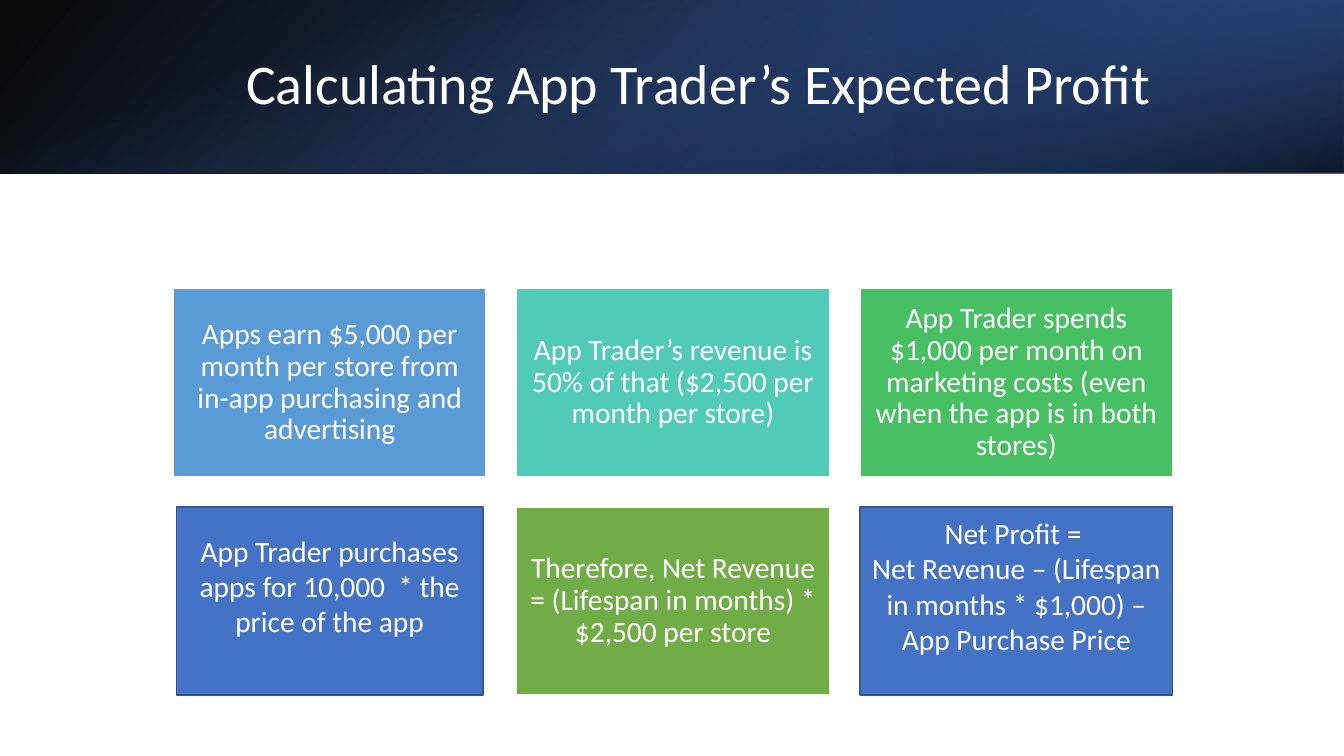
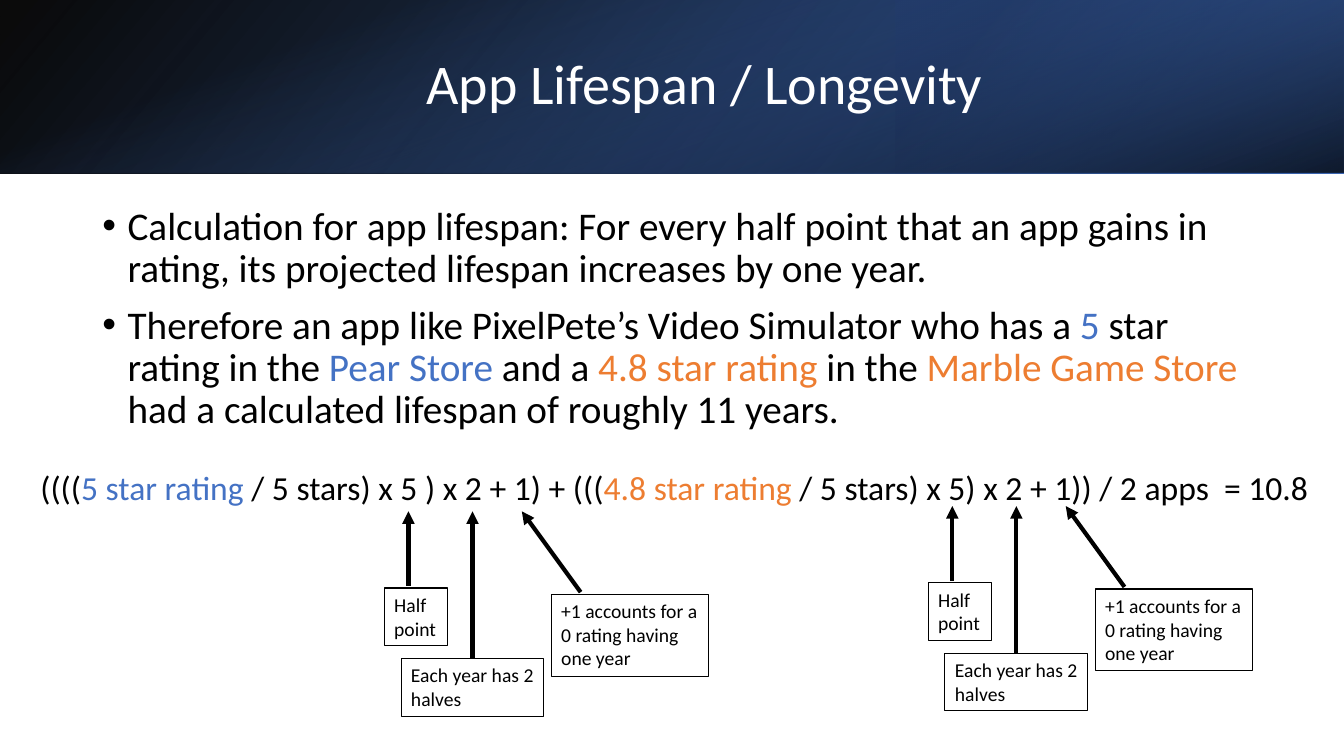
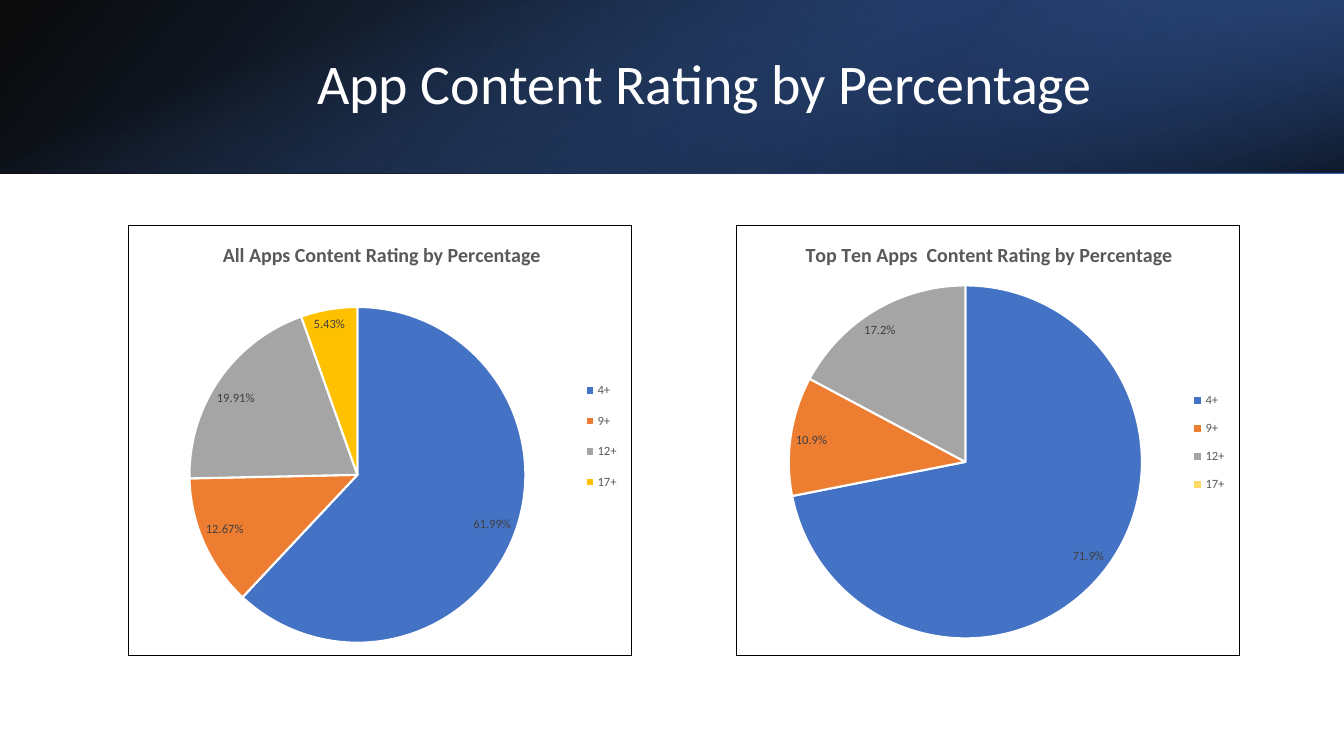
from pptx import Presentation
from pptx.chart.data import CategoryChartData
from pptx.dml.color import RGBColor
from pptx.enum.chart import XL_CHART_TYPE, XL_LABEL_POSITION, XL_LEGEND_POSITION
from pptx.enum.shapes import MSO_CONNECTOR, MSO_SHAPE
from pptx.enum.text import MSO_ANCHOR, MSO_AUTO_SIZE, PP_ALIGN
from pptx.oxml import parse_xml
from pptx.oxml.ns import nsdecls, qn
from pptx.util import Pt

PX = 9525
WIDTH, HEIGHT, BAND = 1280, 720, 165
FONT = "Calibri"
TITLE_ONLY, TITLE_AND_BODY = 5, 1

BLACK = RGBColor(0x00, 0x00, 0x00)
WHITE = RGBColor(0xFF, 0xFF, 0xFF)
BLUE = RGBColor(0x44, 0x72, 0xC4)
DEEP_BLUE = RGBColor(0x2F, 0x55, 0x97)
NAVY = RGBColor(0x20, 0x38, 0x64)
EDGE_BLUE = RGBColor(0x32, 0x54, 0x91)
SKY = RGBColor(0x5B, 0x9B, 0xD5)
TEAL = RGBColor(0x52, 0xCA, 0xB8)
EMERALD = RGBColor(0x49, 0xBF, 0x64)
GREEN = RGBColor(0x70, 0xAD, 0x47)
ORANGE = RGBColor(0xED, 0x7D, 0x31)
GRAY = RGBColor(0xA5, 0xA5, 0xA5)
GOLD = RGBColor(0xFF, 0xC0, 0x00)
PALE_GOLD = RGBColor(0xFF, 0xD9, 0x66)
TITLE_GRAY = RGBColor(0x59, 0x59, 0x59)
LABEL_GRAY = RGBColor(0x40, 0x40, 0x40)

# Title band: box, rotation, mirrored, angle, stops of (position, colour, opacity)
BAND_LAYERS = [
    ((0, 0, WIDTH, BAND), 0, True, 140, [(0, BLACK, 96), (100, DEEP_BLUE, 100)]),
    ((853, 0, 427, BAND), 180, True, 320, [(19, NAVY, 68), (100, BLUE, 79)]),
    (((WIDTH - BAND) // 2, (BAND - WIDTH) // 2, BAND, WIDTH), 90, False, 340,
     [(23, BLUE, 0), (99, BLACK, 74)]),
]
TITLE_BOX = (144, 36, 1054, 92)

# Profit cards: column, row, side trim, fill, paragraphs
CARD_LEFT, CARD_TOP, CARD_WIDTH, CARD_HEIGHT = 165, 275, 298, 179
CARD_STEP_X, CARD_STEP_Y = 327, 208
CARDS = [
    (0, 0, 0, SKY, ["Apps earn $5,000 per month per store from in-app purchasing and advertising"]),
    (1, 0, 0, TEAL, ["App Trader’s revenue is 50% of that ($2,500 per month per store)"]),
    (2, 0, 0, EMERALD, ["App Trader spends $1,000 per month on marketing costs "
                        "(even when the app is in both stores)"]),
    (0, 1, 3, BLUE, ["App Trader purchases apps for 10,000  * the price of the app"]),
    (1, 1, 0, GREEN, ["Therefore, Net Revenue = (Lifespan in months) * $2,500 per store"]),
    (2, 1, 0, BLUE, ["Net Profit = ",
                     "Net Revenue – (Lifespan in months * $1,000) – App Purchase Price"]),
]

# Lifespan slide: paragraphs of (text, colour) spans
BODY_BOX = (88, 192, 1104, 250)
BODY = [
    [("Calculation for app lifespan: For every half point that an app gains in rating, "
      "its projected lifespan increases by one year.", BLACK)],
    [("Therefore an app like PixelPete’s Video Simulator who has a ", BLACK), ("5", BLUE),
     (" star rating in the ", BLACK), ("Pear Store ", BLUE), ("and a ", BLACK),
     ("4.8 star rating ", ORANGE), ("in the ", BLACK), ("Marble Game Store ", ORANGE),
     ("had a calculated lifespan of roughly 11 years.", BLACK)],
]
FORMULA_BOX = (29, 440, 1251, 87)
FORMULA = [("((((", BLACK), ("5 star rating ", BLUE),
           ("/ 5 stars) x 5 ) x 2 + 1) + (((", BLACK), ("4.8 star rating ", ORANGE),
           ("/ 5 stars) x 5) x 2 + 1)) / 2 apps  = 10.8", BLACK)]

# Callouts: box, paragraphs, arrow start, arrow tip; no start means the top middle
CALLOUTS = [
    ((366, 560, 60, 55), ["Half", "point"], (389, 558), (389, 487)),
    ((382, 627, 136, 55), ["Each year has 2 halves"], None, (450, 487)),
    ((525, 566, 150, 78), ["+1 accounts for a 0 rating having one year"], (553, 564), (497, 487)),
]
CALLOUT_SHIFTS = [(0, 0), (518, -5)]

# Pie charts; layouts are fractions of the chart frame
CHART_TOP, CHART_WIDTH, CHART_HEIGHT = 214, 480, 411
PIES = [
    dict(left=122, title="All Apps Content Rating by Percentage",
         slices=[("4+", 0.6199, BLUE), ("9+", 0.1267, ORANGE), ("12+", 0.1991, GRAY),
                 ("17+", 0.0543, GOLD)],
         format="0.00%", title_at=(0.18, 0.03), plot_at=(0.12, 0.19, 0.67, 0.78),
         legend_at=(0.9, 0.33, 0.08, 0.32)),
    dict(left=701, title="Top Ten Apps  Content Rating by Percentage",
         slices=[("4+", 0.719, BLUE), ("9+", 0.109, ORANGE), ("12+", 0.172, GRAY),
                 ("", None, GOLD), ("17+", 0, PALE_GOLD)],
         format="0.0%;;", title_at=(0.13, 0.03), plot_at=(0.1, 0.14, 0.71, 0.82),
         legend_at=(0.9, 0.36, 0.08, 0.29)),
]


def emu(lengths):
    return [length * PX for length in lengths]


def place(shape, box):
    shape.left, shape.top, shape.width, shape.height = emu(box)


def style_font(font, size, color=None, bold=None):
    font.name, font.size, font.bold = FONT, Pt(size), bold
    if color is not None:
        font.color.rgb = color


def write(frame, paragraphs, size, color=None, align=None, spacing=None):
    """Fill a frame with paragraphs, each a string or a list of (text, colour) spans."""
    frame.word_wrap = True
    frame.auto_size = MSO_AUTO_SIZE.NONE
    for index, content in enumerate(paragraphs):
        para = frame.add_paragraph() if index else frame.paragraphs[0]
        para.alignment, para.line_spacing = align, spacing
        style_font(para.font, size, color)
        if isinstance(content, str):
            para.add_run().text = content
            continue
        for text, span_color in content:
            span = para.add_run()
            span.text = text
            span.font.color.rgb = span_color


def gradient(stops, angle):
    marks = "".join(
        f'<a:gs pos="{position * 1000}"><a:srgbClr val="{color}">'
        f'<a:alpha val="{opacity * 1000}"/></a:srgbClr></a:gs>'
        for position, color, opacity in stops)
    return parse_xml(f'<a:gradFill {nsdecls("a")} rotWithShape="1"><a:gsLst>{marks}</a:gsLst>'
                     f'<a:lin ang="{angle * 60000}" scaled="0"/></a:gradFill>')


def add_rectangle(page, box):
    shape = page.shapes.add_shape(MSO_SHAPE.RECTANGLE, *emu(box))
    shape.shadow.inherit = False
    return shape


def new_page(deck, title_text, layout=TITLE_ONLY):
    page = deck.slides.add_slide(deck.slide_layouts[layout])
    for box, rotation, mirrored, angle, stops in BAND_LAYERS:
        layer = add_rectangle(page, box)
        layer.rotation = rotation
        layer.line.fill.background()
        layer.fill.background()
        properties = layer._element.spPr
        properties.replace(properties.find(qn("a:noFill")), gradient(stops, angle))
        if mirrored:
            properties.find(qn("a:xfrm")).set("flipH", "1")
    title = page.shapes.title
    page.shapes._spTree.append(title._element)  # in front of the band
    place(title, TITLE_BOX)
    title.text_frame.vertical_anchor = MSO_ANCHOR.MIDDLE
    write(title.text_frame, [title_text], 40, WHITE, PP_ALIGN.CENTER, 0.9)
    return page


def add_card(page, column, row, trim, fill, paragraphs):
    card = add_rectangle(page, (CARD_LEFT + column * CARD_STEP_X + trim,
                                CARD_TOP + row * CARD_STEP_Y,
                                CARD_WIDTH - 2 * trim, CARD_HEIGHT))
    outlined = fill == BLUE
    card.fill.solid()
    card.fill.fore_color.rgb = fill
    card.line.color.rgb = EDGE_BLUE if outlined else WHITE
    card.line.width = Pt(1)
    frame = card.text_frame
    frame.vertical_anchor = MSO_ANCHOR.MIDDLE
    frame.margin_left = frame.margin_right = 9 * PX
    if outlined:
        frame.margin_bottom = 34 * PX  # lifts the text above the middle
    write(frame, paragraphs, 21, WHITE, PP_ALIGN.CENTER, 1.0 if outlined else 0.9)


def add_arrow(page, start, tip):
    arrow = page.shapes.add_connector(MSO_CONNECTOR.STRAIGHT, *emu(start + tip))
    arrow.line.color.rgb = BLACK
    arrow.line.width = Pt(3)
    arrow.line._get_or_add_ln().append(parse_xml(f'<a:tailEnd {nsdecls("a")} type="triangle"/>'))
    arrow._element.spPr.append(parse_xml(f'<a:effectLst {nsdecls("a")}/>'))
    return arrow


def add_callout(page, shift, box, paragraphs, start, tip):
    def move(point):
        return point[0] + shift[0], point[1] + shift[1]

    left, top, width, height = box
    note = page.shapes.add_textbox(*emu(move((left, top)) + (width, height)))
    note.line.color.rgb = BLACK
    note.line.width = Pt(0.75)
    note.text_frame.margin_right = 5 * PX
    write(note.text_frame, paragraphs, 14, BLACK)
    arrow = add_arrow(page, move(start or (left + width // 2, top)), move(tip))
    if start is None:
        arrow.begin_connect(note, 0)


def set_layout(parent, after, x, y, w=None, h=None, target=""):
    """Give a chart part a fixed place, after the named child or first."""
    for old in parent.findall(qn("c:layout")):
        parent.remove(old)
    size = "" if w is None else f'<c:w val="{w}"/><c:h val="{h}"/>'
    layout = parse_xml(
        f'<c:layout {nsdecls("c")}><c:manualLayout>{target}<c:xMode val="edge"/>'
        f'<c:yMode val="edge"/><c:x val="{x}"/><c:y val="{y}"/>{size}'
        f'</c:manualLayout></c:layout>')
    if after:
        parent.find(qn(after)).addnext(layout)
    else:
        parent.insert(0, layout)


def add_pie(page, pie):
    ages, values, colors = zip(*pie["slices"])
    data = CategoryChartData(number_format="0.0%")
    data.categories = ages
    data.add_series("Series 1", values)
    box = (pie["left"], CHART_TOP, CHART_WIDTH, CHART_HEIGHT)
    chart = page.shapes.add_chart(XL_CHART_TYPE.PIE, *emu(box), data).chart
    style_font(chart.font, 10, BLACK)

    # Title and legend
    chart.has_title = True
    heading = chart.chart_title.text_frame
    heading.text = pie["title"]
    style_font(heading.paragraphs[0].font, 14.3, TITLE_GRAY, True)
    chart.has_legend = True
    legend = chart.legend
    legend.position = XL_LEGEND_POSITION.RIGHT
    legend.include_in_layout = False
    style_font(legend.font, 9, TITLE_GRAY)

    # Slices and labels
    plot = chart.plots[0]
    plot.vary_by_categories = True
    for index, color in enumerate(colors):
        look = plot.series[0].points[index].format
        look.fill.solid()
        look.fill.fore_color.rgb = color
        look.line.color.rgb = WHITE
        look.line.width = Pt(1.5)
    plot.has_data_labels = True
    labels = plot.data_labels
    labels.show_value, labels.show_percentage = True, False
    labels.number_format, labels.number_format_is_linked = pie["format"], False
    labels.position = XL_LABEL_POSITION.BEST_FIT
    style_font(labels.font, 9, LABEL_GRAY)

    # Fixed places, legend without the unnamed slice, and frame
    set_layout(chart.chart_title._element, "c:tx", *pie["title_at"])
    set_layout(legend._element, "c:legendPos", *pie["legend_at"])
    set_layout(chart._chartSpace.chart.plotArea, None, *pie["plot_at"],
               target='<c:layoutTarget val="inner"/>')
    if "" in ages:
        legend._element.find(qn("c:legendPos")).addnext(parse_xml(
            f'<c:legendEntry {nsdecls("c")}><c:idx val="{ages.index("")}"/>'
            f'<c:delete val="1"/></c:legendEntry>'))
    chart._chartSpace.chart.addnext(parse_xml(
        f'<c:spPr {nsdecls("c", "a")}><a:solidFill><a:srgbClr val="{WHITE}"/></a:solidFill>'
        f'<a:ln w="{Pt(0.75)}"><a:solidFill><a:srgbClr val="{BLACK}"/></a:solidFill></a:ln>'
        f'</c:spPr>'))


def profit_page(deck):
    page = new_page(deck, "Calculating App Trader’s Expected Profit ")
    for card in CARDS:
        add_card(page, *card)


def lifespan_page(deck):
    page = new_page(deck, "App Lifespan / Longevity", TITLE_AND_BODY)
    body = page.placeholders[1]
    place(body, BODY_BOX)
    write(body.text_frame, BODY, 28, spacing=0.9)
    for index, para in enumerate(body.text_frame.paragraphs):
        para.space_before = Pt(10 if index else 0)
        indent = para._p.get_or_add_pPr()
        indent.set("marL", str(24 * PX))
        indent.set("indent", str(-24 * PX))
    formula = page.shapes.add_textbox(*emu(FORMULA_BOX))
    write(formula.text_frame, [FORMULA], 24)
    for shift in CALLOUT_SHIFTS:
        for callout in CALLOUTS:
            add_callout(page, shift, *callout)


def rating_page(deck):
    page = new_page(deck, "App Content Rating by Percentage")
    for pie in reversed(PIES):
        add_pie(page, pie)


def main():
    deck = Presentation()
    deck.slide_width, deck.slide_height = emu((WIDTH, HEIGHT))
    profit_page(deck)
    lifespan_page(deck)
    rating_page(deck)
    deck.save("out.pptx")


if __name__ == "__main__":
    main()
